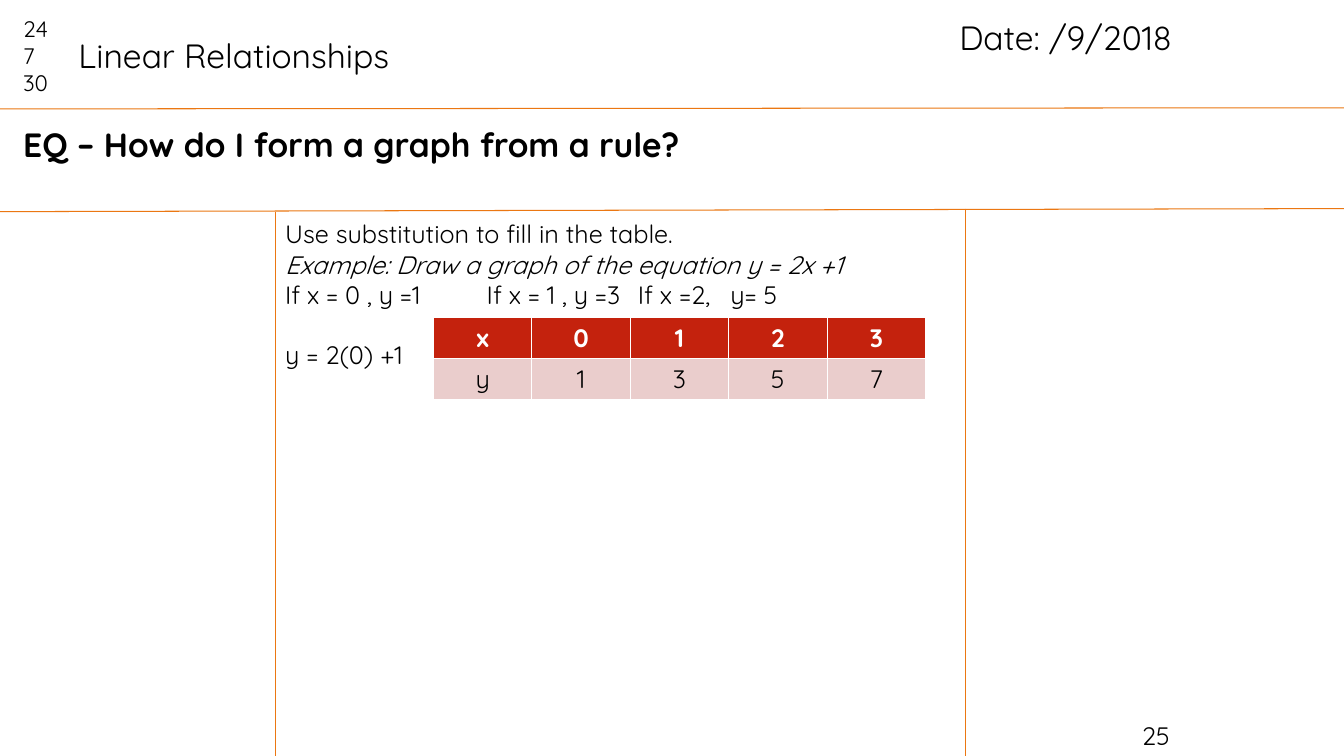
from lxml import etree
from pptx import Presentation
from pptx.dml.color import RGBColor
from pptx.enum import shapes, text
from pptx.oxml import ns
from pptx.util import Pt

THEME = {
    "font": "Quicksand",
    "ink": RGBColor.from_string("000000"),
    "rule": RGBColor.from_string("EB7712"),
    "header_ink": RGBColor.from_string("FFFFFF"),
    "header_fill": RGBColor.from_string("C4220D"),
    "value_fill": RGBColor.from_string("EACDCC"),
    "heading": Pt(24),
    "body": Pt(18),
    "small": Pt(16),
}


def style(paragraph, size, color=THEME["ink"], bold=False, italic=False):
    font = paragraph.font
    font.name = THEME["font"]
    font.size = size
    font.color.rgb = color
    font.bold = bold
    font.italic = italic


def add_text(box, lines, size, bold=False, wrap=True):
    frame = slide.shapes.add_textbox(*map(Pt, box)).text_frame
    frame.word_wrap = wrap
    frame.auto_size = text.MSO_AUTO_SIZE.SHAPE_TO_FIT_TEXT
    frame.text = "\n".join(lines)
    for paragraph in frame.paragraphs:
        style(paragraph, size, bold=bold)
    return frame.paragraphs


prs = Presentation()
prs.slide_width, prs.slide_height = Pt(960), Pt(540)
slide = prs.slides.add_slide(prs.slide_layouts[6])

dividers = [
    (0, 77.8, 960, 77),
    (0, 151.2, 960, 149),
    (196.6, 151.2, 196.6, 540),
    (689.8, 149, 689.8, 540),
]
for ends in dividers:
    divider = slide.shapes.add_connector(shapes.MSO_CONNECTOR.STRAIGHT, *map(Pt, ends))
    divider.line.color.rgb = THEME["rule"]
    divider.line.width = Pt(0.75)
    etree.SubElement(divider._element.spPr, ns.qn("a:effectLst"))

add_text((808.6, 511.2, 43.2, 29), ["25"], THEME["body"])
add_text((9.4, 7.2, 45.4, 65.5), ["24", "7", "30"], THEME["small"])
add_text((49, 21.6, 241.9, 36), ["Linear Relationships"], THEME["heading"], wrap=False)
add_text((678.2, 8.6, 221, 36), ["Date: /9/2018"], THEME["heading"])
add_text((9.4, 85, 929.5, 36), ["EQ – How do I form a graph from a rule?"],
         THEME["heading"], bold=True)

instruction, example, substitutions, working = add_text(
    (196.6, 152.6, 484.6, 116.6),
    [
        "Use substitution to fill in the table.",
        "Example: Draw a graph of the equation y = 2x +1",
        "If x = 0 , y =1\tIf x = 1 , y =3\tIf x =2,\ty= 5",
        "y = 2(0) +1",
    ],
    THEME["body"],
)
example.font.italic = True
working.space_before = Pt(21.6)
tab_list = etree.Element(ns.qn("a:tabLst"))
for stop in (144, 252, 318):
    etree.SubElement(tab_list, ns.qn("a:tab"), pos=str(Pt(stop)), algn="l")
substitutions._p.get_or_add_pPr().insert(0, tab_list)

points = [("x", 0, 1, 2, 3), ("y", 1, 3, 5, 7)]
row_looks = [
    (THEME["header_fill"], THEME["header_ink"], True),
    (THEME["value_fill"], THEME["ink"], False),
]
values = slide.shapes.add_table(2, 5, Pt(309.6), Pt(226.8), Pt(351.5), Pt(58.4)).table
for row, numbers, (fill, ink, bold) in zip(values.rows, points, row_looks):
    for cell, number in zip(row.cells, numbers):
        cell.text = str(number)
        cell.fill.solid()
        cell.fill.fore_color.rgb = fill
        label = cell.text_frame.paragraphs[0]
        label.alignment = text.PP_ALIGN.CENTER
        style(label, THEME["body"], ink, bold)

prs.save("out.pptx")
